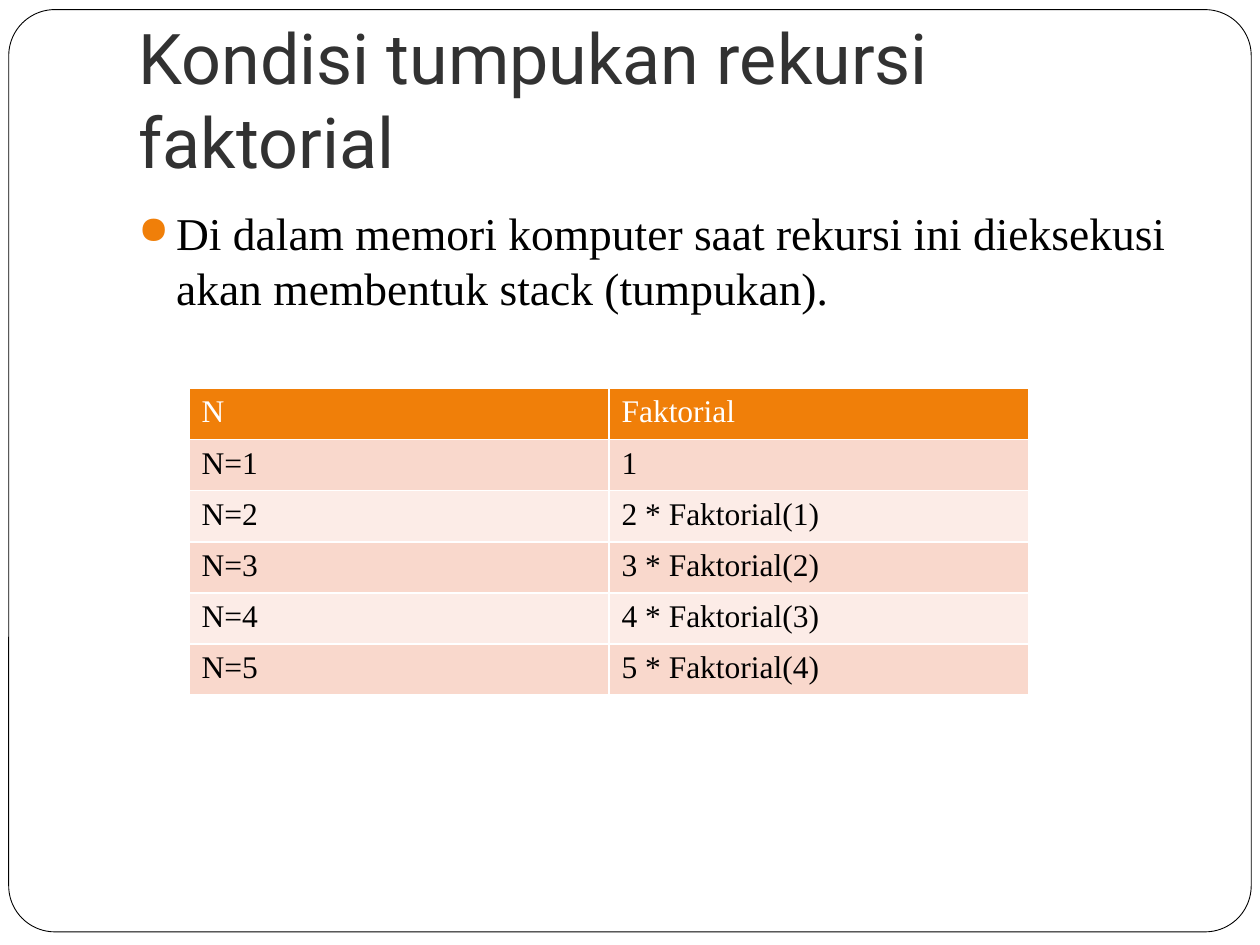
from lxml.etree import SubElement
from pptx import Presentation
from pptx.dml.color import RGBColor
from pptx.enum.shapes import MSO_SHAPE as Shape
from pptx.enum.text import MSO_ANCHOR as Anchor, PP_ALIGN as Align
from pptx.oxml.ns import qn
from pptx.util import Pt

SERIF = "Times New Roman"
BLACK, WHITE, ORANGE = "000000", "FFFFFF", "F07F09"
BANDS = ("F9D8CC", "FCECE7")
HEADER = ("N", "Faktorial")
STACK = [("N=1", "1")] + [(f"N={n}", f"{n} * Faktorial({n - 1})") for n in range(2, 6)]


def color(value):
    return RGBColor.from_string(value)


def set_font(para, name, size, value):
    para.font.name = name
    para.font.size = Pt(size)
    para.font.bold = False
    para.font.color.rgb = color(value)


def place(shape, left, top, width, height):
    shape.left, shape.top = Pt(left), Pt(top)
    shape.width, shape.height = Pt(width), Pt(height)


def add_title(page, text):
    title = page.shapes.title
    place(title, 72, 21.6, 612, 90)
    frame = title.text_frame
    frame.text = text
    frame.word_wrap = True
    frame.vertical_anchor = Anchor.BOTTOM
    frame.margin_left = frame.margin_right = frame.margin_bottom = Pt(7.2)
    frame.margin_top = Pt(3.6)
    para = frame.paragraphs[0]
    para.alignment = Align.LEFT
    set_font(para, "Roboto", 40, "323232")


def add_border(page):
    border = page.shapes.add_shape(Shape.ROUNDED_RECTANGLE, Pt(5), Pt(5.5), Pt(710), Pt(527))
    border.adjustments[0] = 0.05
    border.shadow.inherit = False
    border.fill.solid()
    border.fill.fore_color.rgb = color(WHITE)
    border.line.color.rgb = color(BLACK)
    border.line.width = Pt(0.5)
    page.shapes.title.element.addprevious(border.element)


def add_bullet(para, indent):
    props = para._p.get_or_add_pPr()
    props.set("marL", str(Pt(indent)))
    props.set("indent", str(-Pt(indent)))
    SubElement(SubElement(props, qn("a:buClr")), qn("a:srgbClr"), val=ORANGE)
    SubElement(props, qn("a:buSzPct"), val="85000")
    SubElement(props, qn("a:buChar"), char="●")


def add_body(page, text):
    box = page.shapes.add_textbox(Pt(72), Pt(113.8), Pt(612), Pt(360))
    box.text_frame.word_wrap = True
    para = box.text_frame.paragraphs[0]
    para.text = text
    para.space_before = Pt(5.8)
    set_font(para, SERIF, 26, BLACK)
    add_bullet(para, 21.6)


def add_cell_borders(cell):
    props = cell._tc.get_or_add_tcPr()
    for side in ("L", "R", "T", "B"):
        line = SubElement(props, qn(f"a:ln{side}"), w=str(Pt(1)))
        SubElement(SubElement(line, qn("a:solidFill")), qn("a:srgbClr"), val=WHITE)


def fill_cell(cell, text, fill, text_color):
    add_cell_borders(cell)
    cell.fill.solid()
    cell.fill.fore_color.rgb = color(fill)
    cell.text = text
    set_font(cell.text_frame.paragraphs[0], SERIF, 18, text_color)


def add_stack_table(page):
    rows = [HEADER] + STACK
    table = page.shapes.add_table(
        len(rows), len(HEADER), Pt(108), Pt(222), Pt(480), Pt(29.2 * len(rows))
    ).table
    for r, row in enumerate(rows):
        fill, text_color = (BANDS[(r - 1) % 2], BLACK) if r else (ORANGE, WHITE)
        for c, text in enumerate(row):
            fill_cell(table.cell(r, c), text, fill, text_color)


def main():
    deck = Presentation()
    deck.slide_width, deck.slide_height = Pt(720), Pt(540)
    page = deck.slides.add_slide(deck.slide_layouts[5])
    add_border(page)
    add_title(page, "Kondisi tumpukan rekursi faktorial")
    add_body(
        page,
        "Di dalam memori komputer saat rekursi ini dieksekusi "
        "akan membentuk stack (tumpukan).",
    )
    add_stack_table(page)
    deck.save("out.pptx")


if __name__ == "__main__":
    main()
